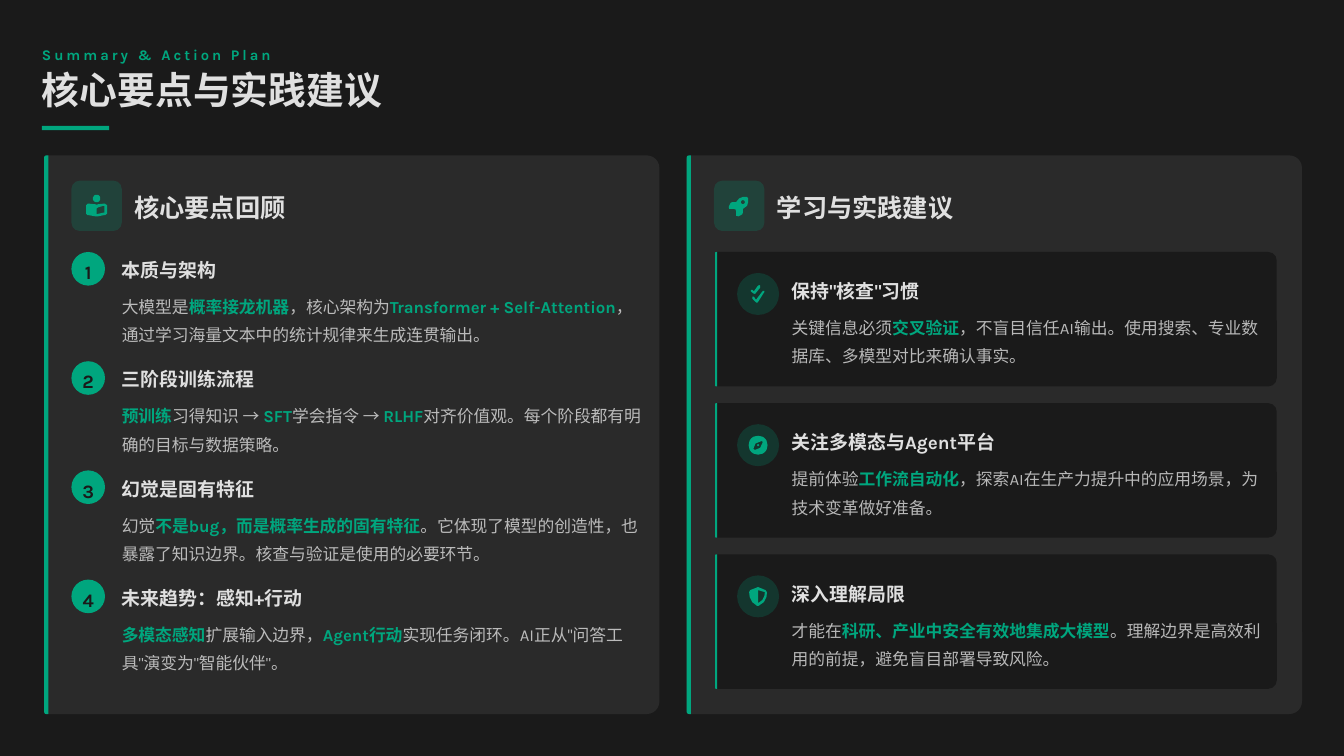
"""Build the summary and action plan slide with its two panels."""
from math import cos, pi, sin

from lxml.etree import SubElement
from pptx import Presentation
from pptx.dml.color import RGBColor
from pptx.enum.shapes import MSO_SHAPE
from pptx.enum.text import MSO_ANCHOR, PP_ALIGN
from pptx.oxml.ns import qn

PX = 12700
HUES = {"page": "1A1A1A", "panel": "2A2A2A", "green": "00A67E", "light": "E0E0E0"}

deck = Presentation()
deck.slide_width, deck.slide_height = 1280 * PX, 720 * PX
slide = deck.slides.add_slide(deck.slide_layouts[6])
slide.background.fill.solid()
slide.background.fill.fore_color.rgb = RGBColor.from_string(HUES["page"])


def block(kind, x, y, w, h, hue, radii=(), alpha=100):
    turned = kind == MSO_SHAPE.ROUND_2_SAME_RECTANGLE
    if turned:
        x, y, w, h = x + (w - h) / 2, y + (h - w) / 2, h, w
    shape = slide.shapes.add_shape(kind, int(x * PX), int(y * PX), w * PX, h * PX)
    shape.rotation = 270 if turned else 0
    for i, radius in enumerate(radii):
        shape.adjustments[i] = radius / min(w, h)
    shape.shadow.inherit = False
    shape.line.fill.background()
    shape.fill.solid()
    shape.fill.fore_color.rgb = RGBColor.from_string(HUES[hue])
    if alpha < 100:
        color = shape._element.xpath("./p:spPr/a:solidFill/a:srgbClr")[0]
        SubElement(color, qn("a:alpha")).set("val", str(alpha * 1000))
    return shape


def write(shape, words, size, lead, hue="light", bold=True):
    frame = shape.text_frame
    frame.word_wrap = True
    frame.vertical_anchor = MSO_ANCHOR.MIDDLE
    frame.margin_left = frame.margin_right = frame.margin_top = frame.margin_bottom = 0
    para = frame.paragraphs[0]
    para.line_spacing = lead
    para.font.name = "Karla"
    para.font.size = size * PX
    for i, part in enumerate(words.split("*")):
        if not part:
            continue
        run = para.add_run()
        run.text = part
        run.font.bold = bold or i % 2 == 1
        run.font.color.rgb = RGBColor.from_string(HUES["green" if i % 2 else hue])
        if not run.font.bold:
            color = run._r.xpath(".//a:srgbClr")[0]
            SubElement(color, qn("a:alpha")).set("val", "80000")
    return para


label = slide.shapes.add_textbox(40 * PX, 40 * PX, 1207 * PX, 20 * PX)
para = write(label, "Summary & Action Plan", 14, 1.2, "green")
para.runs[0]._r.get_or_add_rPr().set("spc", "280")
title = slide.shapes.add_textbox(40 * PX, 68 * PX, 1218 * PX, 40 * PX)
write(title, "核心要点与实践建议", 36, 0.9)
block(MSO_SHAPE.RECTANGLE, 40, 120, 64, 4, "green")

for x, name in ((42, "核心要点回顾"), (654, "学习与实践建议")):
    block(MSO_SHAPE.ROUND_2_SAME_RECTANGLE, x, 148, 586, 532, "panel", (4, 12))
    block(MSO_SHAPE.ROUND_2_SAME_RECTANGLE, x, 148, 4, 532, "green", (2, 0))
    block(MSO_SHAPE.ROUNDED_RECTANGLE, x + 26, 172, 48, 48, "green", (8,), 20)
    head = slide.shapes.add_textbox((x + 86) * PX, 180 * PX, 180 * PX, 32 * PX)
    write(head, name, 24, 1.1)

points = [
    ("本质与架构", "大模型是*概率接龙机器*，核心架构为*Transformer + Self-Attention*"
     "，通过学习海量文本中的统计规律来生成连贯输出。"),
    ("三阶段训练流程", "*预训练*习得知识 → *SFT*学会指令 → *RLHF*"
     "对齐价值观。每个阶段都有明确的目标与数据策略。"),
    ("幻觉是固有特征", "幻觉*不是bug，而是概率生成的固有特征*"
     "。它体现了模型的创造性，也暴露了知识边界。核查与验证是使用的必要环节。"),
    ("未来趋势：感知+行动", "*多模态感知*扩展输入边界，*Agent行动*"
     "实现任务闭环。AI正从\"问答工具\"演变为\"智能伙伴\"。"),
]
tips = [
    ("保持\"核查\"习惯", "关键信息必须*交叉验证*"
     "，不盲目信任AI输出。使用搜索、专业数据库、多模型对比来确认事实。"),
    ("关注多模态与Agent平台", "提前体验*工作流自动化*"
     "，探索AI在生产力提升中的应用场景，为技术变革做好准备。"),
    ("深入理解局限", "才能在*科研、产业中安全有效地集成大模型*"
     "。理解边界是高效利用的前提，避免盲目部署导致风险。"),
]
items = []
for i, point in enumerate(points):
    y = 240 + 104 * i
    badge = block(MSO_SHAPE.OVAL, 68, y, 32, 32, "green")
    write(badge, str(i + 1), 18, 1.3, "page").alignment = PP_ALIGN.CENTER
    items.append((116, y, 496, *point))
for i, tip in enumerate(tips):
    y = 240 + 144 * i
    block(MSO_SHAPE.ROUND_2_SAME_RECTANGLE, 681, y, 535, 128, "page", (2, 8))
    block(MSO_SHAPE.ROUND_2_SAME_RECTANGLE, 681, y, 2, 128, "green", (1, 0))
    block(MSO_SHAPE.OVAL, 702, y + 20, 40, 40, "green", (), 20)
    items.append((754, y + 20, 450, *tip))
for x, y, w, name, body in items:
    head = slide.shapes.add_textbox(x * PX, y * PX, w * PX, 28 * PX)
    write(head, name, 18, 1.3)
    text = slide.shapes.add_textbox(x * PX, (y + 36) * PX, w * PX, 52 * PX)
    write(text, body, 16, 1.4, bold=False)

ring = [(cos(pi * i / 12), sin(pi * i / 12)) for i in range(24)]
reader = [
    [(20 + 7 * a, 6 + 7 * b) for a, b in ring],
    [(20, 18), (17, 17), (6, 16), (3, 16), (0, 19), (0, 35), (3, 38), (6, 38), (17, 40),
     (23, 40), (33, 38), (36, 38), (40, 35), (40, 19), (36, 16), (33, 16), (23, 17)],
    [(20, 36), (20, 25), (23, 23), (33, 20), (35, 20), (35, 33), (33, 33)],
]
rocket = [
    [(10, 26), (1, 26), (0, 22), (4, 14), (7, 13), (14, 13), (20, 6), (27, 3), (35, 3),
     (37, 6), (37, 13), (35, 20), (27, 26), (27, 33), (26, 36), (19, 40), (14, 39),
     (14, 30), (13, 27)],
    [(27 + 4 * a, 13 + 4 * b) for a, b in ring],
]
checks = [
    [(22, 6), (22, 2), (20, 1), (17, 3), (10, 13), (7, 10), (4, 10), (4, 13), (9, 17),
     (12, 18), (13, 17)],
    [(30, 14), (30, 12), (27, 12), (14, 29), (10, 23), (7, 23), (7, 27), (13, 33),
     (16, 35), (18, 33)],
]
compass = [
    [(18 + 18 * a, 18 + 18 * b) for a, b in ring],
    [(22, 23), (12, 27), (9, 25), (13, 15), (15, 14), (25, 10), (27, 12)],
    [(18 + 2 * a, 18 + 2 * b) for a, b in ring],
]
shield = [
    [(18, 0), (20, 1), (32, 6), (35, 10), (34, 19), (29, 29), (19, 36), (16, 36), (7, 29),
     (2, 19), (1, 10), (3, 6), (16, 1)],
    [(18, 6), (18, 31), (26, 25), (30, 17), (31, 10)],
]
icons = [(82, 186, reader), (694, 186, rocket), (713, 271, checks),
         (713, 415, compass), (713, 559, shield)]
for x, y, loops in icons:
    pen = slide.shapes.build_freeform(*loops[0][0], scale=PX / 2)
    for i, loop in enumerate(loops):
        if i:
            pen.move_to(*loop[0])
        pen.add_line_segments(loop[1:], close=True)
    icon = pen.convert_to_shape(x * PX, y * PX)
    icon.shadow.inherit = False
    icon.line.fill.background()
    icon.fill.solid()
    icon.fill.fore_color.rgb = RGBColor.from_string(HUES["green"])

deck.save("out.pptx")
